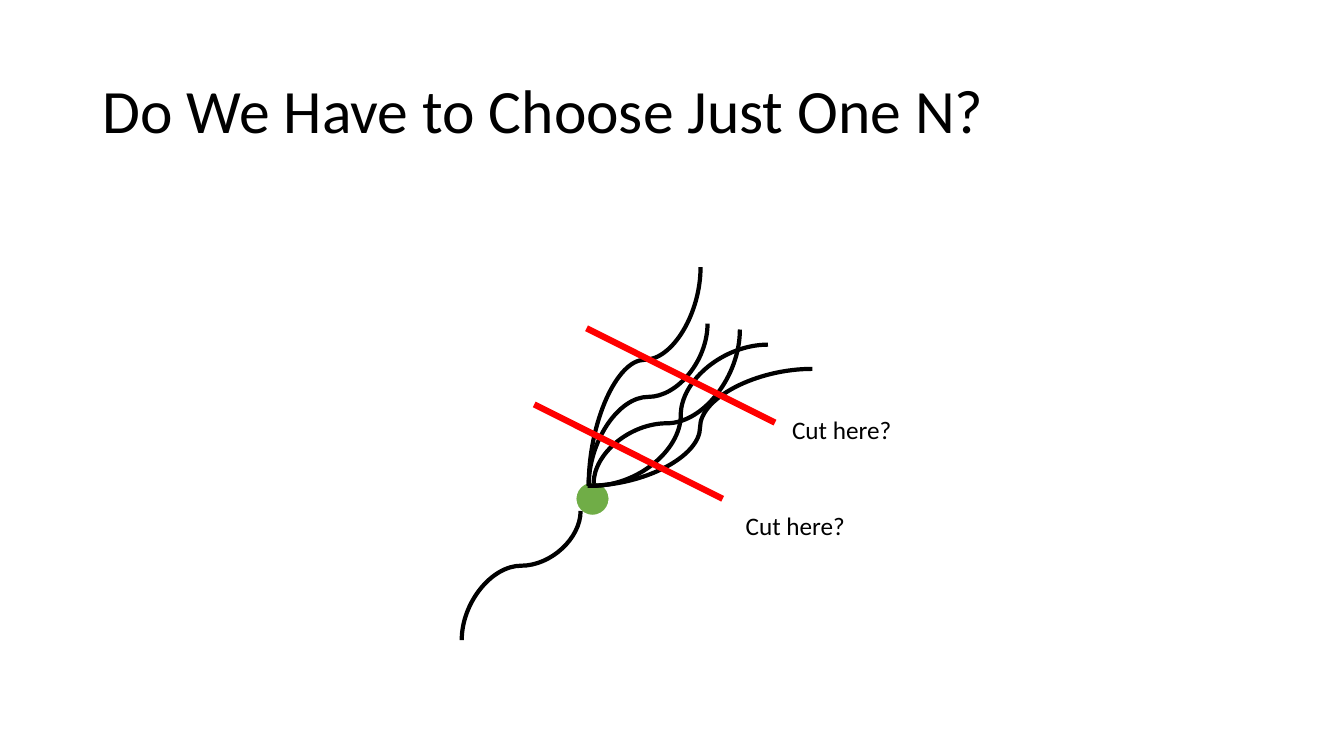
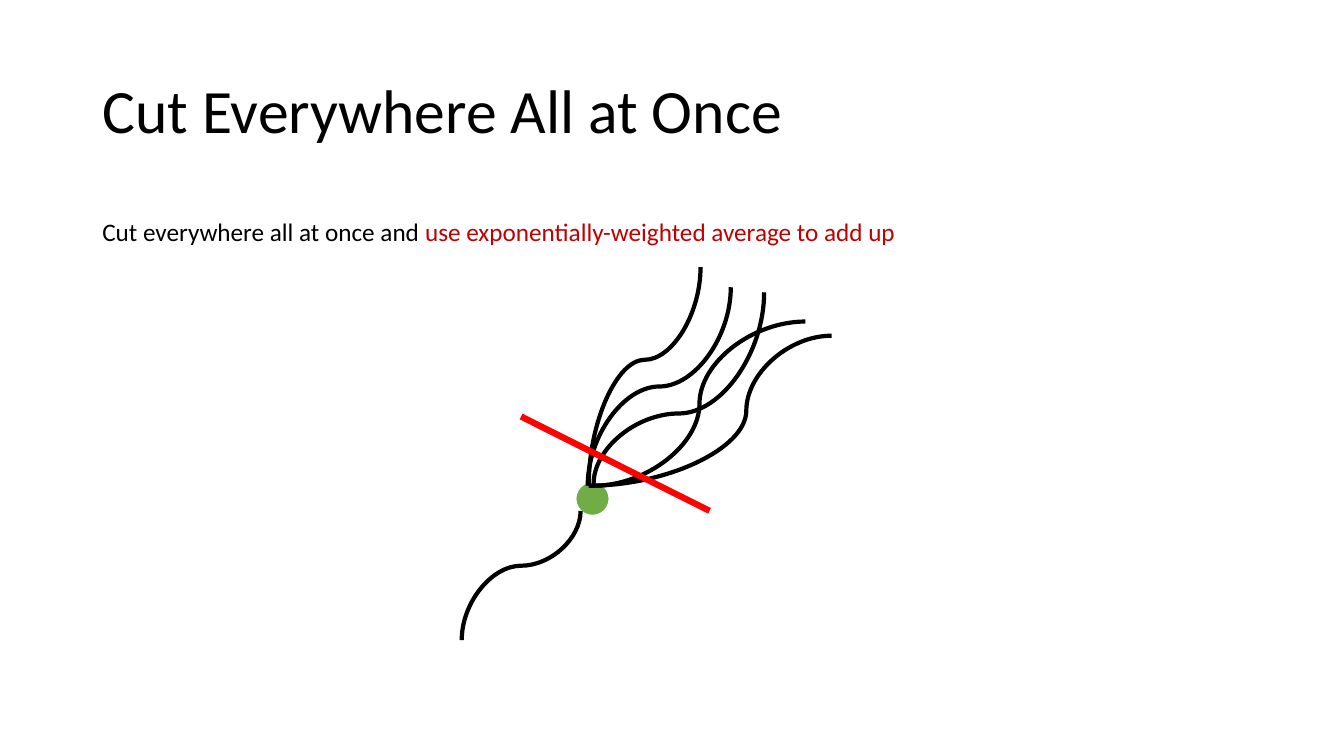
from lxml import etree
from pptx import Presentation
from pptx.dml.color import RGBColor
from pptx.enum.shapes import MSO_CONNECTOR as CONN, MSO_SHAPE as SHAPE
from pptx.enum.text import MSO_ANCHOR as ANCHOR, MSO_AUTO_SIZE as AUTO, PP_ALIGN as ALIGN
from pptx.oxml.ns import qn
from pptx.util import Pt

BLACK = RGBColor(0x00, 0x00, 0x00)
WHITE = RGBColor(0xFF, 0xFF, 0xFF)
GREEN = RGBColor(0x70, 0xAD, 0x47)
RED = RGBColor(0xFF, 0x00, 0x00)
DARK_RED = RGBColor(0xC0, 0x00, 0x00)
FONT = "Calibri"

TITLE_BOX = (66, 28.8, 828, 104.4)
TREE_ORIGIN = (324, 180)
CUT_SIZE = (134.6, 67.4)
TITLE_ONLY = 5

# Curves: start, end, bend position, whether they leave the start vertically
TAIL = ((90.7, 185), (5.8, 277.2), 0.424, True)
TOP_BRANCH = ((176.4, 10.8), (96.5, 167), 0.424, True)
CLOSE_BRANCHES = [
    ((181.4, 51.1), (96.5, 167), 0.452, True),
    ((224.6, 66.2), (100, 167), 0.5, False),
    ((256.3, 83.5), (95.8, 167), 0.5, False),
    ((204.5, 55.4), (100, 165.6), 0.608, True),
]
SPREAD_BRANCHES = [
    ((198, 25.2), (95.8, 167), 0.5, True),
    ((251.3, 49.7), (100, 167), 0.5, False),
    ((270, 59.8), (96.5, 167), 0.351, False),
    ((221.8, 28.8), (100, 165.6), 0.633, True),
]


def style_font(p, size):
    p.font.name, p.font.size = FONT, Pt(size)
    p.font.color.rgb = BLACK


def add_line(slide, kind, start, end, color, width):
    c = slide.shapes.add_connector(kind, *map(Pt, (*start, *end)))
    c.line.color.rgb, c.line.width = color, Pt(width)
    etree.SubElement(c._element.spPr, qn("a:effectLst"))
    return c


def add_curve(slide, origin, start, end, bend, vertical):
    x0, y0 = origin
    (x1, y1), (x2, y2) = start, end
    x1, y1, x2, y2 = x0 + x1, y0 + y1, x0 + x2, y0 + y2
    if vertical:
        # Lay the curve on its side about its centre; a quarter turn restores it
        cx, cy = (x1 + x2) / 2, (y1 + y2) / 2
        half_w, half_h = (y2 - y1) / 2, (x1 - x2) / 2
        x1, y1, x2, y2 = cx - half_w, cy - half_h, cx + half_w, cy + half_h
    c = add_line(slide, CONN.CURVE, (x1, y1), (x2, y2), BLACK, 3)
    sp_pr = c._element.spPr
    if vertical:
        sp_pr.find(qn("a:xfrm")).set("rot", "5400000")
    geom = sp_pr.find(qn("a:prstGeom"))
    av = geom.find(qn("a:avLst"))
    if av is None:
        av = etree.SubElement(geom, qn("a:avLst"))
    etree.SubElement(av, qn("a:gd"), name="adj1", fmla=f"val {round(bend * 100000)}")


def add_text(slide, box, runs):
    tb = slide.shapes.add_textbox(*map(Pt, box))
    tf = tb.text_frame
    tf.word_wrap, tf.auto_size = True, AUTO.SHAPE_TO_FIT_TEXT
    p = tf.paragraphs[0]
    style_font(p, 18)
    for text, color in runs:
        r = p.add_run()
        r.text = text
        r.font.color.rgb = color


def add_tree(slide, origin, branches):
    """Green node with a tail below and branches above."""
    x0, y0 = origin
    node = slide.shapes.add_shape(SHAPE.OVAL, Pt(x0 + 87), Pt(y0 + 164), Pt(24.5), Pt(24.5))
    node.shadow.inherit = False
    node.fill.solid()
    node.fill.fore_color.rgb = GREEN
    node.line.color.rgb, node.line.width = WHITE, Pt(1.5)
    for curve in (TAIL, *branches, TOP_BRANCH):
        add_curve(slide, origin, *curve)


def add_cut(slide, origin, start, label_at=None):
    """Red cut across the branches, with an optional label."""
    x0, y0 = origin
    x, y = x0 + start[0], y0 + start[1]
    add_line(slide, CONN.STRAIGHT, (x, y), (x + CUT_SIZE[0], y + CUT_SIZE[1]), RED, 4.5)
    if label_at:
        box = (x0 + label_at[0], y0 + label_at[1], 88, 29)
        add_text(slide, box, [("Cut here?", BLACK)])


def add_titled_slide(prs, title):
    slide = prs.slides.add_slide(prs.slide_layouts[TITLE_ONLY])
    sp = slide.shapes.title
    sp.left, sp.top, sp.width, sp.height = map(Pt, TITLE_BOX)
    tf = sp.text_frame
    tf.text = title
    tf.word_wrap, tf.auto_size = True, AUTO.NONE
    tf.vertical_anchor = ANCHOR.MIDDLE
    p = tf.paragraphs[0]
    p.alignment, p.line_spacing = ALIGN.LEFT, 0.9
    style_font(p, 44)
    return slide


def add_tree_slide(prs, title, branches, cuts):
    slide = add_titled_slide(prs, title)
    add_tree(slide, TREE_ORIGIN, branches)
    for cut in cuts:
        add_cut(slide, TREE_ORIGIN, *cut)
    return slide


def main():
    prs = Presentation()
    prs.slide_width, prs.slide_height = Pt(960), Pt(540)

    # Two possible cuts
    add_tree_slide(prs, "Do We Have to Choose Just One N?", CLOSE_BRANCHES, [
        ((57.6, 108.9), (234.7, 112.3)),
        ((95, 54.5), (201.6, 180.7)),
    ])

    # One cut, with the rule stated above the tree
    slide = add_tree_slide(prs, "Cut Everywhere All at Once", SPREAD_BRANCHES,
                           [((48.2, 117.5),)])
    add_text(slide, (66, 151.2, 588, 29), [
        ("Cut everywhere all at once and ", BLACK),
        ("use exponentially-weighted average to add up", DARK_RED),
    ])

    prs.save("out.pptx")


if __name__ == "__main__":
    main()
